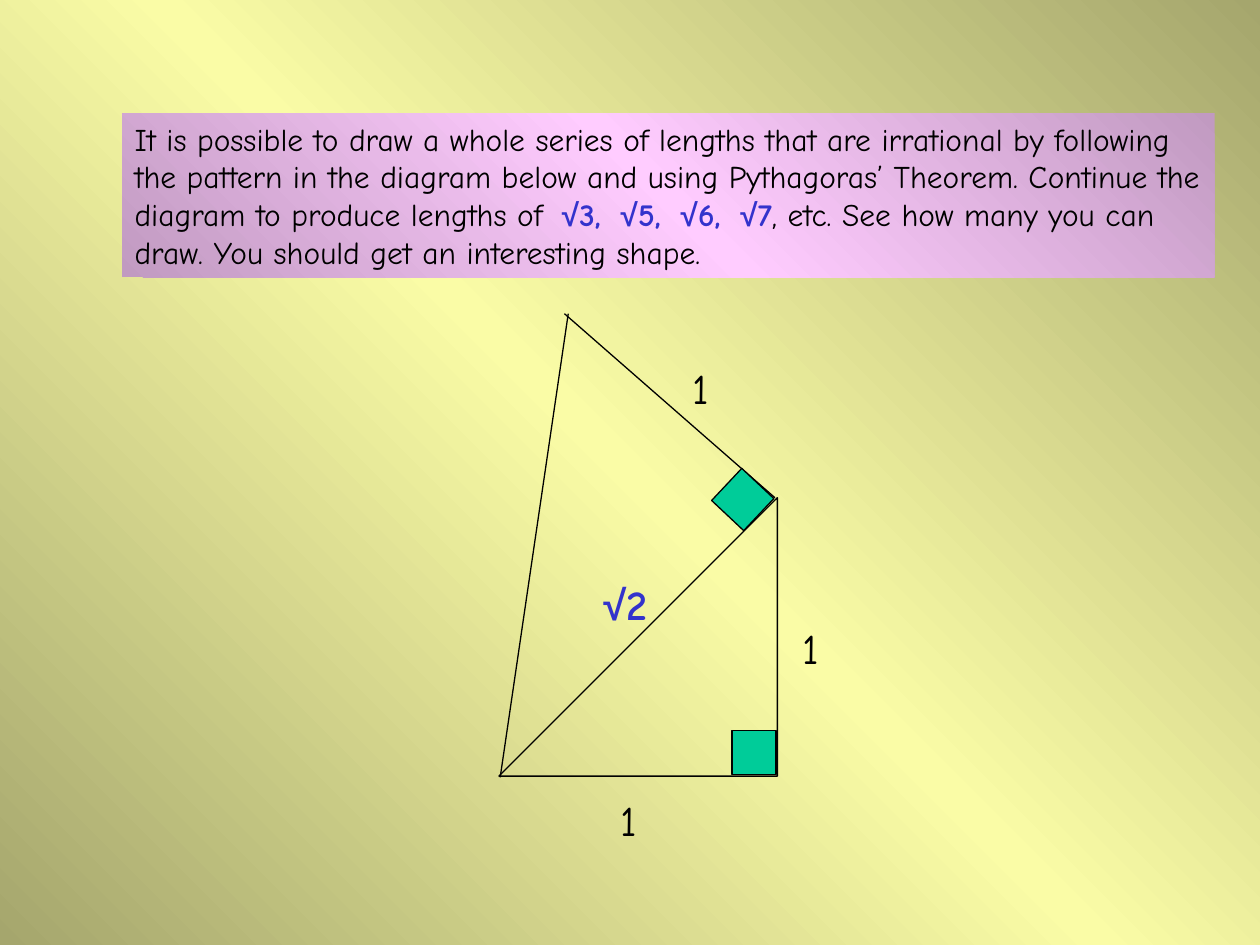
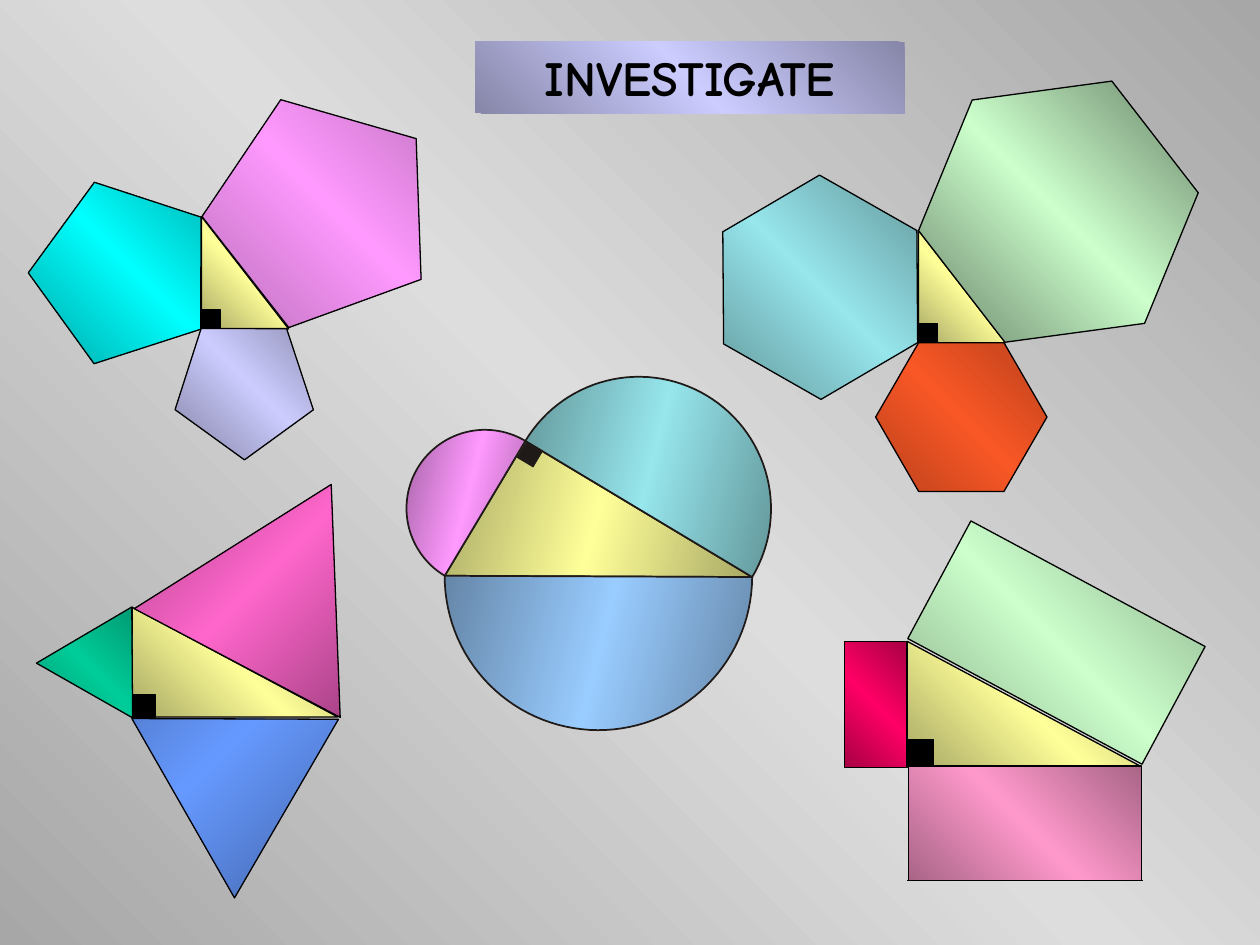
import math
from copy import deepcopy

from lxml import etree
from pptx import Presentation
from pptx.dml.color import RGBColor
from pptx.enum import shapes, text
from pptx.oxml.ns import qn
from pptx.util import Inches, Pt

KIND = shapes.MSO_SHAPE
BLACK = RGBColor(0, 0, 0)
SOOT = RGBColor(0x1F, 0x1A, 0x17)
ROOT_BLUE = RGBColor(0x33, 0x33, 0xCC)
GREEN = RGBColor(0x00, 0xCC, 0x99)


def shades(edge, middle):
    return RGBColor.from_string(edge), RGBColor.from_string(middle)


OLIVE = shades("A5A66D", "FAFCA6")
GREY = shades("A7A7A7", "DDDDDD")
ORCHID = shades("C19AC1", "FFCCFF")
PERIWINKLE = shades("8686A8", "CCCCFF")
YELLOW = shades("A8A865", "FFFF99")
AQUA = shades("63979B", "96E6EC")
PINK = shades("A865A8", "FF99FF")
SKY = shades("6586A8", "99CCFF")
ORANGE = shades("BC411C", "F95725")
MINT = shades("5E755E", "CCFFCC")
PALE_MINT = shades("86A886", "CCFFCC")
LILAC = shades("71718E", "CCCCFF")
CYAN = shades("008E8E", "00FFFF")
ROSE = shades("A86586", "FF99CC")
CRIMSON = shades("A80043", "FF0066")
BLUE = shades("4365A8", "6699FF")
MAGENTA = shades("A84386", "FF66CC")
EMERALD = shades("009A73", "00CC99")

BODY_FONT, ROOT_FONT = "Comic Neue", "Arial"
GRADIENT_ANGLE = 135
HEX_ADJUST = (0.289, 1.155)

TASK = [
    ("It is possible to draw a whole series of lengths that are irrational by "
     "following the pattern in the diagram below and using Pythagoras’ Theorem. "
     "Continue the diagram to produce lengths of ", False),
    (" √", True), ("3, ", True), (" √", True), ("5, ", True),
    (" √", True), ("6, ", True), (" √", True), ("7", True),
    (", etc. See how many you can draw. You should get an interesting shape.", False),
]
ONE = [("1", False)]
ROOT_TWO = [("√", True), ("2", True)]
LENGTH_LABELS = [
    (ONE, (6.27, 4.89, 0.46, 0.5)),
    (ONE, (4.83, 6.26, 0.46, 0.5)),
    (ROOT_TWO, (4.69, 4.54, 0.67, 0.5)),
    (ONE, (5.4, 2.83, 0.46, 0.5)),
]
RIGHT_ANGLES = [((5.81, 5.8, 0.35, 0.35), 0), ((5.72, 3.79, 0.35, 0.35), 43.2)]
SPIRAL_SIDES = [((6.15, 3.95), (4.48, 2.49)), ((4.51, 2.49), (3.97, 6.17))]

CIRCLE_TILT = 120.9
LEFT, TOP, RIGHT = (3.53, 4.57), (4.17, 3.5), (5.97, 4.58)
SEMICIRCLES = [(RIGHT, TOP, AQUA), (TOP, LEFT, PINK), (LEFT, RIGHT, SKY)]
CIRCLE_CORNER = (4.13, 3.53, 0.15, 0.15)

HEXAGON_FIGURE = [
    (KIND.RIGHT_TRIANGLE, (7.29, 1.83, 0.69, 0.89), 0, YELLOW),
    (KIND.HEXAGON, (6.95, 2.72, 1.36, 1.18), 0, ORANGE),
    (KIND.HEXAGON, (7.28, 0.71, 2.24, 1.94), 352.3, MINT),
    (KIND.HEXAGON, (5.62, 1.51, 1.78, 1.54), 89.6, AQUA),
    (KIND.RECTANGLE, (7.29, 2.57, 0.15, 0.15), 0, BLACK),
]
PENTAGON_FIGURE = [
    (KIND.RIGHT_TRIANGLE, (1.6, 1.72, 0.69, 0.89), 0, YELLOW),
    (KIND.RECTANGLE, (1.6, 2.46, 0.15, 0.15), 0, BLACK),
    (KIND.REGULAR_PENTAGON, (1.42, 2.51, 1.1, 1.04), 35.9, LILAC),
    (KIND.REGULAR_PENTAGON, (0.32, 1.44, 1.44, 1.37), 54.1, CYAN),
    (KIND.REGULAR_PENTAGON, (1.72, 0.77, 1.81, 1.72), 52, PINK),
]
RECTANGLE_FIGURE = [
    (KIND.RIGHT_TRIANGLE, (7.2, 5.09, 1.85, 0.99), 0, YELLOW),
    (KIND.RECTANGLE, (7.21, 6.08, 1.85, 0.91), 0, ROSE),
    (KIND.RECTANGLE, (6.7, 5.09, 0.5, 1), 0, CRIMSON),
    (KIND.RECTANGLE, (7.33, 4.57, 2.11, 1.06), 28.2, PALE_MINT),
    (KIND.RECTANGLE, (7.2, 5.87, 0.21, 0.21), 0, BLACK),
]
RECTANGLE_EDGES = [((7.2, 6.99), (9.07, 6.99)), ((6.7, 5.09), (6.7, 6.08))]
TRIANGLE_FIGURE = [
    (KIND.RIGHT_TRIANGLE, (1.05, 4.82, 1.63, 0.87), 0, YELLOW),
    (KIND.RECTANGLE, (1.05, 5.51, 0.18, 0.18), 0, BLACK),
    (KIND.ISOSCELES_TRIANGLE, (0.84, 5.35, 1.64, 1.42), 300.2, BLUE, 285),
    (KIND.ISOSCELES_TRIANGLE, (0.94, 4, 1.85, 1.6), 267.8, MAGENTA, 317),
    (KIND.ISOSCELES_TRIANGLE, (0.23, 4.88, 0.88, 0.76), 269.6, EMERALD),
]


def paint(fill, holder, colour, angle=GRADIENT_ANGLE):
    if colour is None:
        fill.background()
    elif isinstance(colour, RGBColor):
        fill.solid()
        fill.fore_color.rgb = colour
    else:
        fill.gradient()
        fill.gradient_angle = (360 - angle) % 360
        for stop, shade, position in zip(fill.gradient_stops, colour, (0, 0.5)):
            stop.color.rgb = shade
            stop.position = position
        stops = next(holder.iter(qn("a:gsLst")))
        last = deepcopy(stops[0])
        last.set("pos", "100000")
        stops.append(last)


def finish(shape, colour, angle=GRADIENT_ANGLE, outline=BLACK, weight=0.75):
    shape.shadow.inherit = False
    paint(shape.fill, shape._element, colour, angle)
    if outline is None:
        shape.line.fill.background()
    else:
        shape.line.color.rgb = outline
        shape.line.width = Pt(weight)


def piece(slide, kind, box, turn=0, colour=None, angle=None, **outline):
    shape = slide.shapes.add_shape(kind, *map(Inches, box))
    shape.rotation = turn
    if kind == KIND.HEXAGON:
        for i, value in enumerate(HEX_ADJUST):
            shape.adjustments[i] = value
    if angle is None:
        angle = (GRADIENT_ANGLE - turn) % 360
    finish(shape, colour, angle, **outline)
    return shape


def outline_piece(slide, points, colour):
    corners = [tuple(map(Inches, point)) for point in points]
    builder = slide.shapes.build_freeform(*corners[0], scale=1.0)
    builder.add_line_segments(corners[1:], close=True)
    finish(builder.convert_to_shape(), colour, GRADIENT_ANGLE - CIRCLE_TILT, SOOT, 1)


def semicircle(start, end, steps=60):
    cx, cy = (start[0] + end[0]) / 2, (start[1] + end[1]) / 2
    radius = math.dist(start, end) / 2
    first = math.atan2(start[1] - cy, start[0] - cx)
    turns = [first - math.pi * i / steps for i in range(steps + 1)]
    return [(cx + radius * math.cos(t), cy + radius * math.sin(t)) for t in turns]


def side(slide, start, end):
    line = slide.shapes.add_connector(
        shapes.MSO_CONNECTOR.STRAIGHT, *map(Inches, start + end))
    line.line.color.rgb = BLACK
    line.line.width = Pt(0.75)
    etree.SubElement(line._element.spPr, qn("a:effectLst"))


def write(shape, runs, size, align=text.PP_ALIGN.LEFT, bold=False):
    frame = shape.text_frame
    frame.word_wrap = True
    frame.vertical_anchor = text.MSO_ANCHOR.TOP
    paragraph = frame.paragraphs[0]
    paragraph.alignment = align
    for words, is_root in runs:
        run = paragraph.add_run()
        run.text = words
        run.font.size = Pt(size)
        run.font.name = ROOT_FONT if "√" in words else BODY_FONT
        run.font.bold = bold or is_root
        run.font.color.rgb = ROOT_BLUE if is_root else BLACK


def banner(slide, box, colour, runs, size, **style):
    write(piece(slide, KIND.RECTANGLE, box, colour=colour, outline=None),
          runs, size, **style)


def new_slide(deck, colour):
    slide = deck.slides.add_slide(deck.slide_layouts[6])
    paint(slide.background.fill, slide._element, colour)
    return slide


def root_spiral(deck):
    slide = new_slide(deck, OLIVE)
    piece(slide, KIND.RIGHT_TRIANGLE, (3.96, 3.95, 2.21, 2.21), 270)
    for runs, box in LENGTH_LABELS:
        write(slide.shapes.add_textbox(*map(Inches, box)), runs, 24)
    for (box, turn), ends in zip(RIGHT_ANGLES, SPIRAL_SIDES):
        piece(slide, KIND.RECTANGLE, box, turn, GREEN)
        side(slide, *ends)
    banner(slide, (0.97, 0.9, 8.67, 1.3), ORCHID, TASK, 18)


def investigate(deck):
    slide = new_slide(deck, GREY)
    outline_piece(slide, (LEFT, TOP, RIGHT), YELLOW)
    for start, end, colour in SEMICIRCLES:
        outline_piece(slide, semicircle(start, end), colour)
    piece(slide, KIND.RECTANGLE, CIRCLE_CORNER, CIRCLE_TILT, SOOT,
          outline=SOOT, weight=0.25)
    for figure in (HEXAGON_FIGURE, PENTAGON_FIGURE, RECTANGLE_FIGURE, TRIANGLE_FIGURE):
        for part in figure:
            piece(slide, *part)
    for ends in RECTANGLE_EDGES:
        side(slide, *ends)
    banner(slide, (3.77, 0.33, 3.41, 0.57), PERIWINKLE, [("INVESTIGATE", False)], 28,
           align=text.PP_ALIGN.CENTER, bold=True)


def main():
    deck = Presentation()
    deck.slide_width, deck.slide_height = Inches(10), Inches(7.5)
    root_spiral(deck)
    investigate(deck)
    deck.save("out.pptx")


if __name__ == "__main__":
    main()
